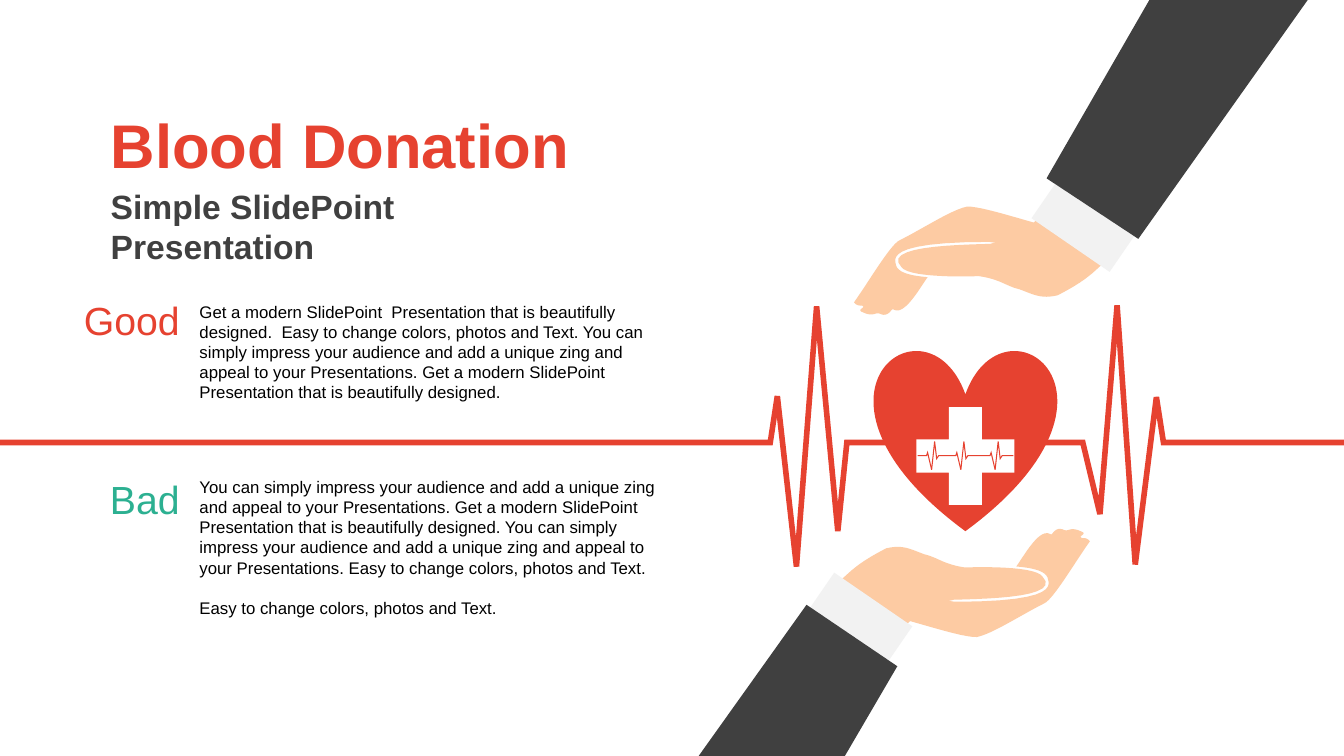
from lxml import etree
from pptx import Presentation
from pptx.dml.color import RGBColor
from pptx.enum.shapes import MSO_SHAPE
from pptx.enum.text import MSO_ANCHOR, PP_ALIGN
from pptx.oxml.ns import qn
from pptx.util import Inches, Pt

RECTANGLE, HEART, CROSS = MSO_SHAPE.RECTANGLE, MSO_SHAPE.HEART, MSO_SHAPE.CROSS
TOP, MIDDLE = MSO_ANCHOR.TOP, MSO_ANCHOR.MIDDLE
LEFT, RIGHT = PP_ALIGN.LEFT, PP_ALIGN.RIGHT
COLORS = {
    "red": "E64230", "green": "2CB091", "dark": "404040", "black": "000000",
    "skin": "FDCBA3", "cuff": "F2F2F2", "white": "FFFFFF",
}
CURVE_STEPS = 12

presentation = Presentation()
presentation.slide_width = Inches(13.33)
presentation.slide_height = Inches(7.5)
slide = presentation.slides.add_slide(presentation.slide_layouts[6])


def add_outline(segments, fill=None, line_width=None):
    points = [segments[0]]
    for segment in segments[1:]:
        if len(segment) == 2:
            points.append(segment)
            continue
        x0, y0 = points[-1]
        x1, y1, x2, y2, x3, y3 = segment
        for step in range(1, CURVE_STEPS + 1):
            t = step / CURVE_STEPS
            u = 1 - t
            points.append((
                u**3 * x0 + 3 * u * u * t * x1 + 3 * u * t * t * x2 + t**3 * x3,
                u**3 * y0 + 3 * u * u * t * y1 + 3 * u * t * t * y2 + t**3 * y3,
            ))
    corners = [(Inches(x), Inches(y)) for x, y in points]
    builder = slide.shapes.build_freeform(*corners[0], scale=1.0)
    builder.add_line_segments(corners[1:], close=fill is not None)
    shape = builder.convert_to_shape()
    paint(shape, fill)
    if line_width:
        shape.line.color.rgb = RGBColor.from_string(COLORS["red"])
        shape.line.width = Pt(line_width)
        line = shape._element.spPr.find(qn("a:ln"))
        etree.SubElement(line, qn("a:miter"), lim="800000")


def paint(shape, fill):
    shape.shadow.inherit = False
    shape.line.fill.background()
    if fill:
        shape.fill.solid()
        shape.fill.fore_color.rgb = RGBColor.from_string(COLORS[fill])
    else:
        shape.fill.background()


heartbeat = [
    (0, 4.39), (7.64, 4.39), (7.71, 3.93), (7.9, 5.62), (8.1, 3.04),
    (8.31, 5.27), (8.4, 4.39), (10.74, 4.39), (10.91, 5.1), (11.08, 3.03),
    (11.26, 5.6), (11.47, 3.94), (11.54, 4.39), (13.33, 4.39),
]
add_outline(heartbeat, line_width=4)

good_text = (
    "Get a modern SlidePoint  Presentation that is beautifully designed.  "
    "Easy to change colors, photos and Text. You can simply impress your audience "
    "and add a unique zing and appeal to your Presentations. "
    "Get a modern SlidePoint  Presentation that is beautifully designed."
)
bad_text = (
    "You can simply impress your audience and add a unique zing and appeal to your "
    "Presentations. Get a modern SlidePoint  Presentation that is beautifully designed. "
    "You can simply impress your audience and add a unique zing and appeal to your "
    "Presentations. Easy to change colors, photos and Text."
)
text_boxes = [
    (1, 1.01, 4.79, 0.84, ["Blood Donation"], 44, "red", True, LEFT, TOP),
    (1, 1.79, 3.86, 0.91, ["Simple SlidePoint Presentation"], 24, "dark", True, LEFT, TOP),
    (1.88, 2.94, 4.79, 1.11, [good_text], 12, "black", False, LEFT, TOP),
    (1.88, 4.68, 4.79, 1.51, [bad_text, "Easy to change colors, photos and Text."],
     12, "black", False, LEFT, TOP),
    (0.58, 2.89, 1.3, 0.57, ["Good"], 28, "red", False, RIGHT, MIDDLE),
    (0.58, 4.66, 1.3, 0.57, ["Bad"], 28, "green", False, RIGHT, MIDDLE),
]
for left, top, width, height, texts, size, color, bold, alignment, anchor in text_boxes:
    box = slide.shapes.add_textbox(Inches(left), Inches(top), Inches(width), Inches(height))
    frame = box.text_frame
    frame.word_wrap = True
    frame.vertical_anchor = anchor
    for index, text in enumerate(texts):
        paragraph = frame.add_paragraph() if index else frame.paragraphs[0]
        paragraph.alignment = alignment
        if index:
            paragraph.space_before = Pt(14.4)
        run = paragraph.add_run()
        run.text = text
        run.font.name = "Arial"
        run.font.size = Pt(size)
        run.font.bold = bold
        run.font.color.rgb = RGBColor.from_string(COLORS[color])

heart = slide.shapes.add_shape(HEART, Inches(8.67), Inches(3.46), Inches(1.81), Inches(1.81))
paint(heart, "red")
cross = slide.shapes.add_shape(CROSS, Inches(9.09), Inches(4.04), Inches(0.97), Inches(0.97))
cross.adjustments[0] = 0.33
paint(cross, "white")

beat = [(-0.08, 4.52), (-0.07, 4.49), (-0.03, 4.66), (0, 4.38), (0.02, 4.55), (0.04, 4.52)]
small_pulse = [(peak + dx, y) for peak in (9.27, 9.56, 9.9) for dx, y in beat]
add_outline([(9.1, 4.52), *small_pulse, (10.05, 4.52)], line_width=0.75)

palm = [
    (9.57, 5.63), (9.86, 5.62, 10.28, 5.63, 10.34, 5.72),
    (10.53, 5.92, 9.86, 5.94, 9.46, 5.95), (9.4, 5.97, 9.25, 5.98, 9.18, 6),
    (9, 6.19), (8.81, 6.39), (8.21, 5.86), (8.43, 5.7, 8.42, 5.63, 8.79, 5.44),
    (8.96, 5.4, 9.03, 5.45, 9.17, 5.5), (9.3, 5.53, 9.36, 5.6, 9.57, 5.63),
]
fingers = [
    (10.08, 5.62), (10.16, 5.51, 10.31, 5.23, 10.42, 5.3),
    (10.44, 5.32, 10.46, 5.21, 10.56, 5.26), (10.61, 5.27, 10.62, 5.22, 10.74, 5.28),
    (10.77, 5.3, 10.7, 5.32, 10.72, 5.33), (10.73, 5.35, 10.77, 5.32, 10.81, 5.37),
    (10.66, 5.58, 10.44, 5.96, 10.35, 5.99), (10.13, 6.1, 9.84, 6.29, 9.69, 6.32),
    (9.55, 6.33, 9.05, 6.16, 8.73, 6.08), (8.76, 6.03, 9.03, 5.89, 9.47, 5.97),
    (10.54, 5.97, 10.4, 5.79, 10.39, 5.73), (10.36, 5.65, 10.19, 5.63, 10.08, 5.62),
]
lower_sleeve = [(8.38, 7.5), (6.93, 7.5), (8, 6), (8.9, 6.61)]
upper_sleeve = [(11.4, 0), (12.97, 0), (11.29, 2.37), (10.38, 1.77)]
turn_sums = (19.28, 8.37)
cuff_width, cuff_height = 0.94, 0.43

for turned, cuff_left, cuff_top, sleeve in (
    (False, 8.07, 5.91, lower_sleeve),
    (True, 10.27, 2.04, upper_sleeve),
):
    for part in (palm, fingers):
        if turned:
            part = [
                tuple(turn_sums[i % 2] - value for i, value in enumerate(segment))
                for segment in part
            ]
        add_outline(part, fill="skin")
    cuff = slide.shapes.add_shape(
        RECTANGLE, Inches(cuff_left), Inches(cuff_top), Inches(cuff_width), Inches(cuff_height))
    cuff.rotation = 34.5
    paint(cuff, "cuff")
    add_outline(sleeve, fill="dark")

presentation.save("out.pptx")
